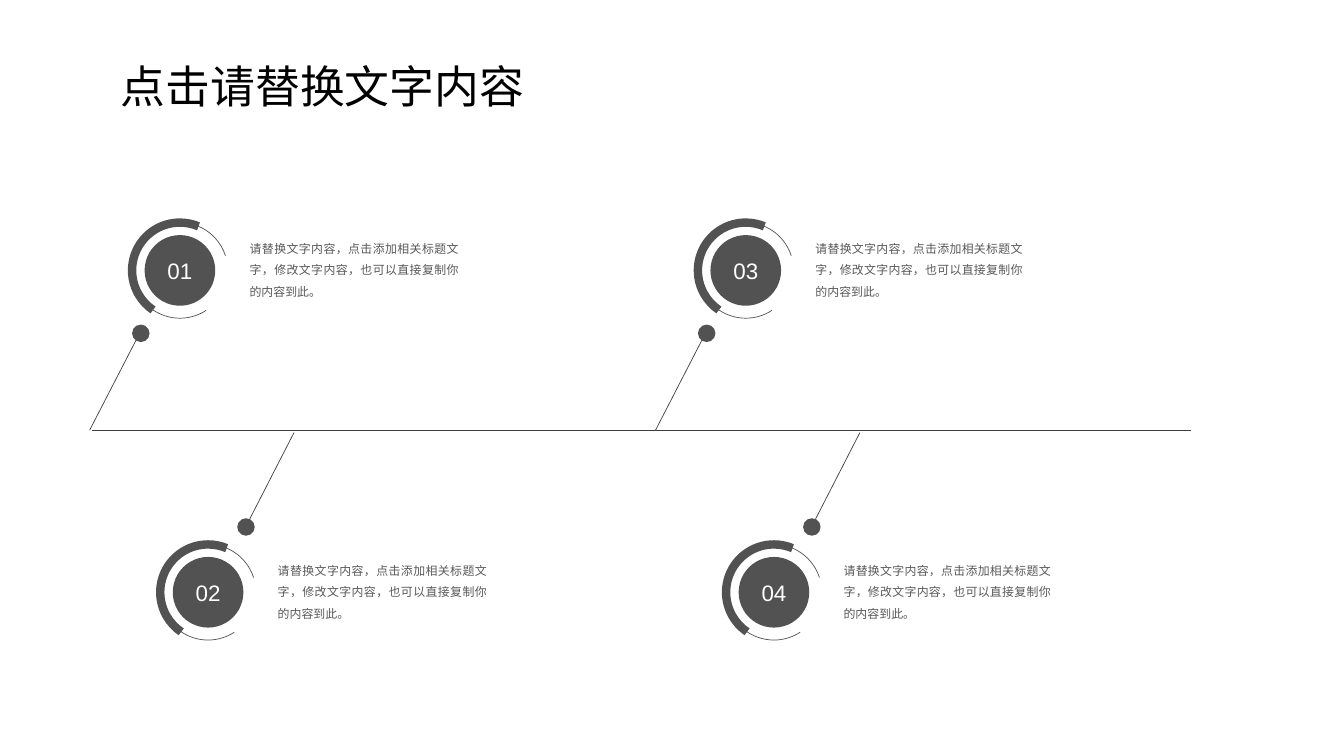
from dataclasses import dataclass
from itertools import product

from lxml.etree import SubElement
from pptx import Presentation
from pptx.dml.color import RGBColor
from pptx.enum.shapes import MSO_CONNECTOR, MSO_SHAPE
from pptx.enum.text import MSO_ANCHOR, MSO_AUTO_SIZE, PP_ALIGN
from pptx.oxml.ns import qn
from pptx.util import Cm, Pt

COLORS = {
    "line": "3F3F3F",
    "marker": "525252",
    "body": "595959",
    "number": "FFFFFF",
    "title": "000000",
}
LATIN_FONT = "Arial"
CHINESE_FONT = "Noto Sans CJK SC"
TITLE = "点击请替换文字内容"
BODY = "请替换文字内容，点击添加相关标题文字，修改文字内容，也可以直接复制你的内容到此。"

# Lengths in centimetres
AXIS_START, AXIS_END, AXIS_Y = 2.31, 30.02, 10.85
COLUMN_PITCH = 14.26
RING_SIZE, DISC_SIZE, DOT_SIZE = 2.41, 1.78, 0.44
TEXT_OFFSET = (2.71, 0.17)
TEXT_HEIGHT = 1.9


@dataclass(frozen=True)
class Branch:
    """Ring position in the first column; other points are relative to it."""
    left: float
    top: float
    stem_start: tuple[float, float]
    stem_end: tuple[float, float]
    dot: tuple[float, float]


@dataclass(frozen=True)
class Column:
    offset: float
    text_width: float


@dataclass(frozen=True)
class Arc:
    start_degrees: float
    end_degrees: float
    weight: float


BRANCHES = (
    Branch(3.33, 5.61, (-1.07, 5.23), (0.13, 2.9), (0, 2.57)),
    Branch(4.04, 13.72, (3.37, -2.82), (2.17, -0.48), (1.94, -0.66)),
)
COLUMNS = (Column(0, 5.77), Column(COLUMN_PITCH, 5.72))
ARCS = (Arc(56.77, 342.15, 0.5), Arc(124.15, 292.86, 6))


def color(name: str) -> RGBColor:
    return RGBColor.from_string(COLORS[name])


def add_run(paragraph, text: str, size: float, color_name: str, font: str) -> None:
    run = paragraph.add_run()
    run.text = text
    run.font.size = Pt(size)
    run.font.name = font
    run.font.color.rgb = color(color_name)
    SubElement(run.font._element, qn("a:ea")).set("typeface", CHINESE_FONT)


def add_line(slide, start: tuple[float, float], end: tuple[float, float],
             weight: float) -> None:
    connector = slide.shapes.add_connector(
        MSO_CONNECTOR.STRAIGHT, Cm(start[0]), Cm(start[1]), Cm(end[0]), Cm(end[1]))
    connector.line.color.rgb = color("line")
    connector.line.width = Pt(weight)
    SubElement(connector._element.spPr, qn("a:effectLst"))


def add_disc(slide, left: float, top: float, size: float):
    disc = slide.shapes.add_shape(
        MSO_SHAPE.OVAL, Cm(left), Cm(top), Cm(size), Cm(size))
    disc.shadow.inherit = False
    disc.fill.solid()
    disc.fill.fore_color.rgb = color("marker")
    disc.line.fill.background()
    return disc


def add_ring(slide, left: float, top: float) -> None:
    group = slide.shapes.add_group_shape()
    for arc in ARCS:
        shape = group.shapes.add_shape(
            MSO_SHAPE.ARC, Cm(left), Cm(top), Cm(RING_SIZE), Cm(RING_SIZE))
        # One degree is 60000 units; adjustments count in 100000 units
        shape.adjustments[0] = arc.start_degrees * 0.6
        shape.adjustments[1] = arc.end_degrees * 0.6
        shape.shadow.inherit = False
        shape.fill.background()
        shape.line.color.rgb = color("marker")
        shape.line.width = Pt(arc.weight)


def add_number(slide, left: float, top: float, number: int) -> None:
    inset = (RING_SIZE - DISC_SIZE) / 2
    frame = add_disc(slide, left + inset, top + inset, DISC_SIZE).text_frame
    frame.word_wrap = False
    frame.vertical_anchor = MSO_ANCHOR.MIDDLE
    paragraph = frame.paragraphs[0]
    paragraph.alignment = PP_ALIGN.CENTER
    add_run(paragraph, f"{number:02}", 16, "number", LATIN_FONT)


def add_body(slide, left: float, top: float, width: float) -> None:
    box = slide.shapes.add_textbox(Cm(left), Cm(top), Cm(width), Cm(TEXT_HEIGHT))
    frame = box.text_frame
    frame.word_wrap = True
    frame.auto_size = MSO_AUTO_SIZE.SHAPE_TO_FIT_TEXT
    paragraph = frame.paragraphs[0]
    paragraph.alignment = PP_ALIGN.JUSTIFY
    paragraph.line_spacing = 1.5
    add_run(paragraph, BODY, 8.5, "body", LATIN_FONT)


def add_item(slide, number: int, column: Column, branch: Branch) -> None:
    left, top = branch.left + column.offset, branch.top

    def place(point: tuple[float, float]) -> tuple[float, float]:
        return left + point[0], top + point[1]

    add_line(slide, place(branch.stem_start), place(branch.stem_end), 0.5)
    add_disc(slide, *place(branch.dot), DOT_SIZE)
    add_number(slide, left, top, number)
    add_ring(slide, left, top)
    add_body(slide, *place(TEXT_OFFSET), column.text_width)


def format_title(slide) -> None:
    title = slide.shapes.title
    title.left, title.top = Cm(2.79), Cm(1.35)
    title.width, title.height = Cm(10.77), Cm(1.63)
    frame = title.text_frame
    frame.word_wrap = False
    frame.auto_size = MSO_AUTO_SIZE.NONE
    frame.vertical_anchor = MSO_ANCHOR.MIDDLE
    paragraph = frame.paragraphs[0]
    paragraph.alignment = PP_ALIGN.LEFT
    add_run(paragraph, TITLE, 32, "title", CHINESE_FONT)


def main() -> None:
    presentation = Presentation()
    presentation.slide_width, presentation.slide_height = Cm(33.87), Cm(19.05)
    slide = presentation.slides.add_slide(presentation.slide_layouts[5])
    format_title(slide)
    add_line(slide, (AXIS_START, AXIS_Y), (AXIS_END, AXIS_Y), 0.75)
    for number, (column, branch) in enumerate(product(COLUMNS, BRANCHES), start=1):
        add_item(slide, number, column, branch)
    presentation.save("out.pptx")


if __name__ == "__main__":
    main()
